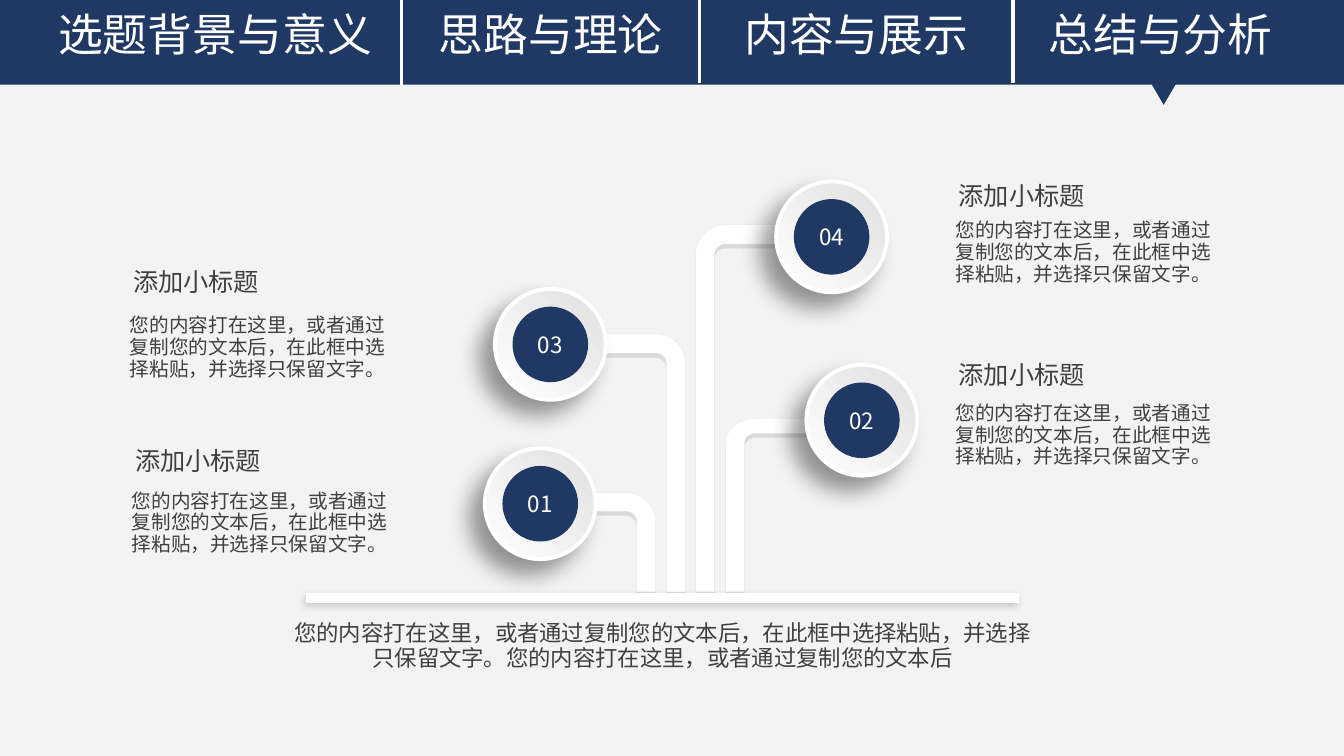
import math
from dataclasses import dataclass

import pptx
import pptx.dml.color
import pptx.enum.shapes
import pptx.enum.text
import pptx.oxml
import pptx.oxml.ns
import pptx.util
from lxml import etree

Pt = pptx.util.Pt
SHAPES = pptx.enum.shapes.MSO_SHAPE
ALIGN = pptx.enum.text.PP_ALIGN
ANCHOR = pptx.enum.text.MSO_ANCHOR
qn = pptx.oxml.ns.qn


@dataclass(frozen=True)
class Theme:
    font: str = "Noto Sans CJK SC"
    navy: str = "203864"
    white: str = "FFFFFF"
    paper: str = "F3F3F3"
    ink: str = "404040"
    pipe_edge: str = "EAEAEA"
    ring_shade: str = "E0E0E0"
    tab_size: float = 32
    heading_size: float = 18
    body_size: float = 14
    summary_size: float = 16
    number_size: float = 16
    heading_spacing: float = 0.9
    body_spacing: float = 0.92


def rgb(value):
    return pptx.dml.color.RGBColor.from_string(value)


def write(shape, text, font, size, color, align=ALIGN.LEFT, spacing=None,
          anchor=ANCHOR.TOP, insets=(7.2, 3.6)):
    """Fill the shape with one formatted paragraph; insets are (sides, top and bottom)."""
    frame = shape.text_frame
    frame.word_wrap = True
    frame.auto_size = pptx.enum.text.MSO_AUTO_SIZE.NONE
    frame.vertical_anchor = anchor
    frame.margin_left = frame.margin_right = Pt(insets[0])
    frame.margin_top = frame.margin_bottom = Pt(insets[1])
    paragraph = frame.paragraphs[0]
    paragraph.alignment = align
    if spacing:
        paragraph.line_spacing = spacing
    run = paragraph.add_run()
    run.text = text
    run.font.size = Pt(size)
    run.font.color.rgb = rgb(color)
    run.font.name = font
    etree.SubElement(run.font._element, qn("a:ea"), typeface=font)


def set_shadow(shape, opacity=0, blur=0, distance=0, angle=0):
    """Replace inherited effects; zero opacity leaves no shadow."""
    effects = etree.SubElement(shape._element.spPr, qn("a:effectLst"))
    if opacity:
        outer = etree.SubElement(
            effects, qn("a:outerShdw"), blurRad=str(Pt(blur)), dist=str(Pt(distance)),
            dir=str(angle * 60000), algn="ctr", rotWithShape="0")
        black = etree.SubElement(outer, qn("a:srgbClr"), val="000000")
        etree.SubElement(black, qn("a:alpha"), val=str(opacity * 1000))


class SlideBuilder:
    def __init__(self, slide, theme):
        self.slide = slide
        self.theme = theme
        slide.background.fill.solid()
        slide.background.fill.fore_color.rgb = rgb(theme.paper)

    def block(self, preset, left, top, width, height, fill):
        shape = self.slide.shapes.add_shape(preset, Pt(left), Pt(top), Pt(width), Pt(height))
        shape.fill.solid()
        shape.fill.fore_color.rgb = rgb(fill)
        shape.line.fill.background()
        set_shadow(shape)
        return shape

    def text(self, text, left, top, width, height, **format):
        box = self.slide.shapes.add_textbox(Pt(left), Pt(top), Pt(width), Pt(height))
        write(box, text, self.theme.font, **format)

    def title(self, text, left, top, width, height, **format):
        title = self.slide.shapes.title
        title.left, title.top, title.width, title.height = map(Pt, (left, top, width, height))
        write(title, text, self.theme.font, **format)
        tree = self.slide.shapes._spTree
        tree.append(title._element)

    def line(self, x1, y1, x2, y2, weight, **shadow):
        line = self.slide.shapes.add_connector(
            pptx.enum.shapes.MSO_CONNECTOR.STRAIGHT, Pt(x1), Pt(y1), Pt(x2), Pt(y2))
        line.line.color.rgb = rgb(self.theme.white)
        line.line.width = Pt(weight)
        set_shadow(line, **shadow)

    def pipe(self, tip, top, side, arm, bend, base=422.8, stem=13.5, reach=21):
        """Bent pipe from the base up to the tip; side is the stem's outer edge."""
        toward = math.copysign(1, tip - side)
        center_x, center_y = side + toward * reach, top + bend

        def corner(radius_x, radius_y):
            angles = [math.radians(step * 7.5) for step in range(13)]
            return [(center_x - toward * radius_x * math.sin(a),
                     center_y - radius_y * math.cos(a)) for a in angles]

        inner_side = side + toward * stem
        points = [(tip, top), *corner(reach, bend), (side, base), (inner_side, base),
                  *reversed(corner(reach - stem, bend - arm)), (tip, top + arm)]
        points = [(Pt(x), Pt(y)) for x, y in points]
        builder = self.slide.shapes.build_freeform(*points[0])
        builder.add_line_segments(points[1:], close=True)
        pipe = builder.convert_to_shape()
        pipe.fill.solid()
        pipe.fill.fore_color.rgb = rgb(self.theme.white)
        pipe.line.color.rgb = rgb(self.theme.pipe_edge)
        pipe.line.width = Pt(0.25)
        set_shadow(pipe, opacity=10, distance=3, angle=90)

    def badge(self, number, left, top, size=79.2, disc_size=54):
        ring = self.slide.shapes.add_shape(SHAPES.OVAL, Pt(left), Pt(top), Pt(size), Pt(size))
        ring.fill.gradient()
        ring.fill.gradient_angle = 225
        for stop, color in zip(ring.fill.gradient_stops,
                               (self.theme.ring_shade, self.theme.white)):
            stop.color.rgb = rgb(color)
        ring.fill.gradient_stops[0].position = 0
        ring.fill.gradient_stops[1].position = 1
        ring.line.color.rgb = rgb(self.theme.white)
        ring.line.width = Pt(2.75)
        set_shadow(ring, opacity=40, blur=16, distance=14, angle=135)
        inset = (size - disc_size) / 2
        disc = self.block(SHAPES.OVAL, left + inset, top + inset, disc_size, disc_size,
                          self.theme.navy)
        write(disc, number, self.theme.font, size=self.theme.number_size,
              color=self.theme.white, align=ALIGN.CENTER, anchor=ANCHOR.MIDDLE, insets=(0, 0))

    def note(self, heading, body, left, heading_top, body_top):
        theme = self.theme
        self.text(heading, left, heading_top, 186, 28.8, size=theme.heading_size,
                  color=theme.ink, spacing=theme.heading_spacing, insets=(9.4, 0))
        self.text(body, left, body_top, 200, 56.2, size=theme.body_size,
                  color=theme.ink, spacing=theme.body_spacing)


def main():
    theme = Theme()
    deck = pptx.Presentation()
    deck.slide_width, deck.slide_height = Pt(960), Pt(540)
    page = SlideBuilder(deck.slides.add_slide(deck.slide_layouts[5]), theme)

    page.block(SHAPES.RECTANGLE, 0, 0, 960, 60.5, theme.navy)
    tab_format = dict(size=theme.tab_size, color=theme.white, align=ALIGN.CENTER,
                      spacing=theme.heading_spacing)
    for section, left, width in [("选题背景与意义", 19.4, 268.6), ("思路与理论", 298.8, 189.4),
                                 ("内容与展示", 517, 189.4)]:
        page.text(section, left, 5.8, width, 46, **tab_format)
    page.title("总结与分析", 734.4, 5.8, 189.4, 46, **tab_format)
    for x, top in [(286.6, 0), (499.7, -1.4), (723.6, -1.4)]:
        page.line(x, top, x, top + 60.5, weight=2.25)
    marker = page.block(SHAPES.ISOSCELES_TRIANGLE, 821.5, 58.3, 19.4, 16.6, theme.navy)
    marker.rotation = 180

    for tip, top, side, arm, bend in [
            (406.8, 238.3, 489.6, 14, 22), (601.6, 298.8, 518.4, 10.8, 17.3),
            (385.2, 352, 468.4, 13.2, 21), (579.6, 160.6, 496.8, 13.7, 21.6)]:
        page.pipe(tip, top, side, arm, bend)
    for number, left, top in [("02", 576, 260.6), ("04", 554.4, 129.6),
                              ("03", 353.5, 206.4), ("01", 346.3, 320.2)]:
        page.badge(number, left, top)
    page.line(218.9, 427, 727.9, 427, weight=7.5, opacity=16, blur=5, distance=3, angle=135)

    advice = "您的内容打在这里，或者通过复制您的文本后，在此框中选择粘贴，并选择只保留文字。"
    for left, heading_top, body_top in [(87.1, 320.4, 347), (85.7, 193, 221.8),
                                        (675.4, 131, 154.1), (675.4, 259.2, 284.4)]:
        page.note("添加小标题", advice, left, heading_top, body_top)
    page.text(advice + "您的内容打在这里，或者通过复制您的文本后", 201, 440.6, 545, 80,
              size=theme.summary_size, color=theme.ink, align=ALIGN.CENTER,
              spacing=theme.body_spacing)

    deck.save("out.pptx")


if __name__ == "__main__":
    main()
